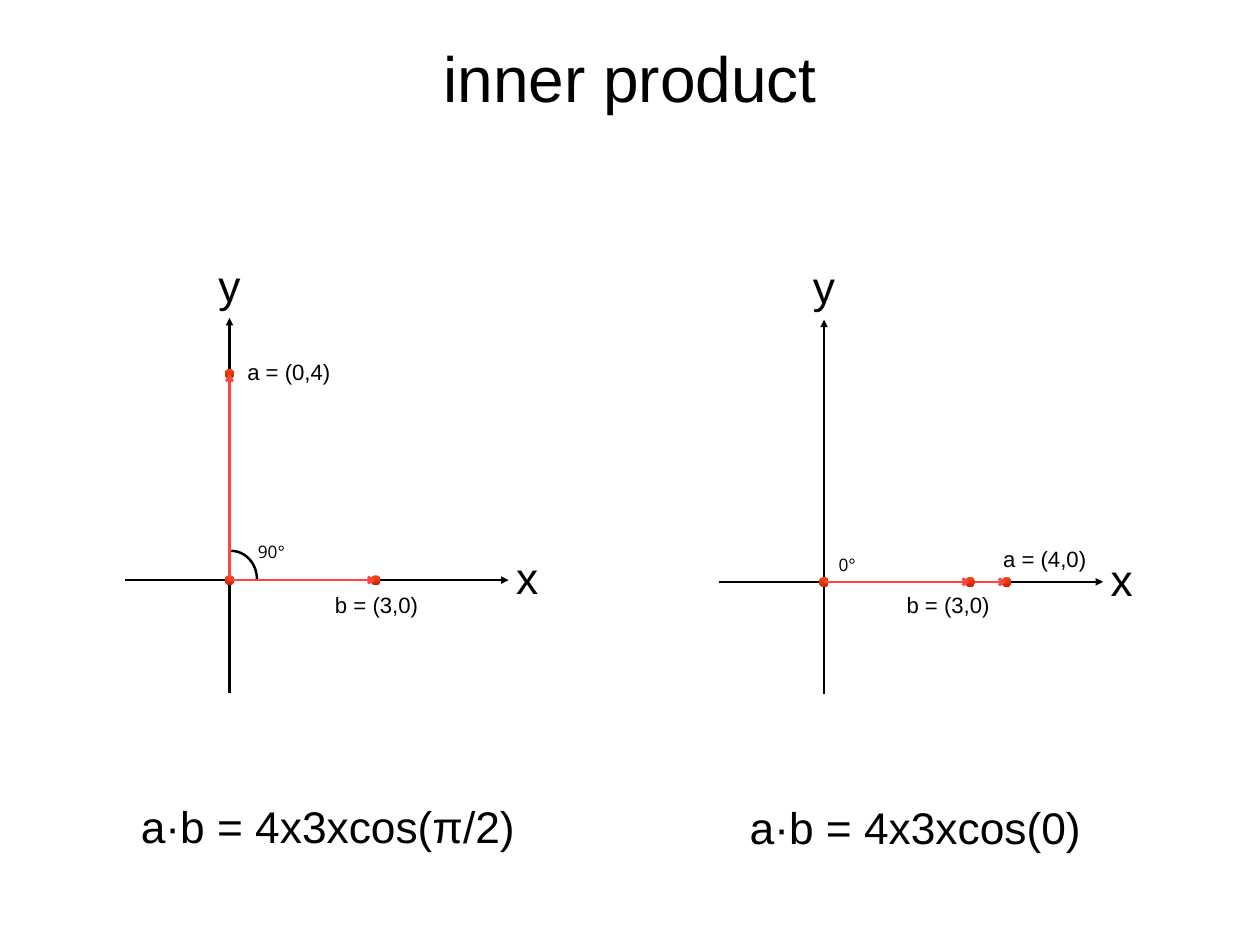
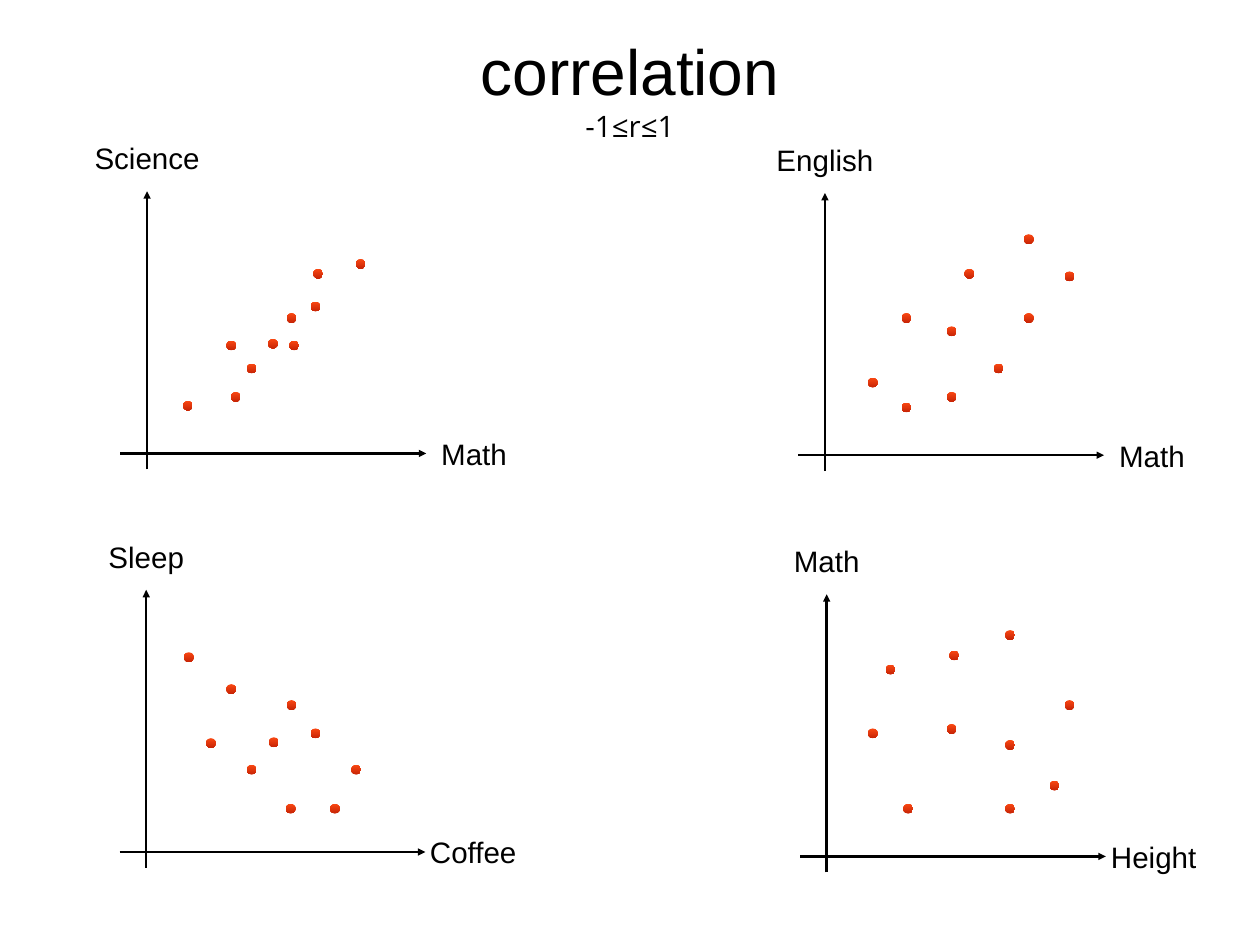
from pptx import Presentation
from pptx import util as u
from pptx.dml.color import RGBColor
from pptx.enum import shapes, text
from pptx.oxml.ns import qn
from lxml import etree

BLACK = RGBColor(0x00, 0x00, 0x00)
CORAL = RGBColor(0xFF, 0x45, 0x3D)
DOT_TOP = RGBColor(0xFA, 0x48, 0x13)
DOT_END = RGBColor(0xC8, 0x25, 0x06)
SANS, OPEN = "Arial", "Open Sans"
CELL = u.Inches(1)  # side of the square grid all lengths are given in
WIDE, HIGH = 14.22, 10.67
MID = WIDE / 2
DOT, PAD, LEAD = 0.11, 0.06, 1.17
AXIS_UP, AXIS_RIGHT, NAME_UP = 2.96, 3.15, 3.34


def cells(*vals):
    return [round(val * CELL) for val in vals]


def write(slide, words, x, y, width, size=24, font=SANS,
          align=text.PP_ALIGN.CENTER, sub=None):
    """Text centred on x, y; sub is a second, smaller line."""
    rows = [(words, size, font)] + ([(sub, 24, OPEN)] if sub else [])
    high = 2 * PAD + sum(LEAD * row[1] / 72 for row in rows)
    box = slide.shapes.add_textbox(*cells(x - width / 2, y - high / 2, width, high))
    frame = box.text_frame
    frame.word_wrap = False
    frame.auto_size = text.MSO_AUTO_SIZE.SHAPE_TO_FIT_TEXT
    frame.vertical_anchor = text.MSO_ANCHOR.MIDDLE
    frame.margin_left = frame.margin_right = u.Inches(PAD)
    frame.margin_top = frame.margin_bottom = u.Inches(PAD)
    for num, (line, pts, face) in enumerate(rows):
        para = frame.add_paragraph() if num else frame.paragraphs[0]
        para.alignment = align
        run = para.add_run()
        run.text = line
        run.font.size, run.font.name = u.Pt(pts), face
        run.font.color.rgb = BLACK


def arrow(slide, start, end, color=BLACK, head="triangle"):
    line = slide.shapes.add_connector(
        shapes.MSO_CONNECTOR.STRAIGHT, *cells(*start, *end))
    line.line.color.rgb = color
    line.line.width = u.Pt(2)
    etree.SubElement(line.line._get_or_add_ln(), qn("a:tailEnd"), type=head)
    etree.SubElement(line._element.spPr, qn("a:effectLst"))


def dot(slide, x, y):
    ball = slide.shapes.add_shape(
        shapes.MSO_SHAPE.OVAL, *cells(x - DOT / 2, y - DOT / 2, DOT, DOT))
    ball.shadow.inherit = False
    ball.line.fill.background()
    ball.fill.gradient()
    ball.fill.gradient_angle = 270
    for stop, color in zip(ball.fill.gradient_stops, (DOT_TOP, DOT_END)):
        stop.color.rgb = color


def arc(slide, x, y, wide, high):
    """Quarter turn around x, y, from the y axis to the x axis."""
    bow = slide.shapes.add_shape(
        shapes.MSO_SHAPE.ARC, *cells(x - wide, y - high, 2 * wide, 2 * high))
    bow.shadow.inherit = False
    bow.fill.background()
    bow.line.color.rgb = BLACK
    bow.line.width = u.Pt(2)


def plane(slide, zero, left, down, names, size, name_at):
    """Draw named axes; return a function from plane to slide points."""
    def at(x, y):
        return zero[0] + x, zero[1] - y

    arrow(slide, at(0, -down), at(0, AXIS_UP))
    arrow(slide, at(-left, 0), at(AXIS_RIGHT, 0))
    for (name, width), spot in zip(names, (name_at, (0, NAME_UP))):
        write(slide, name, *at(*spot), width, size)
    return at


def vectors(slide, zero, ends, labels, angle, sum_text):
    at = plane(slide, zero, 1.18, 1.27, (("x", 0.38), ("y", 0.38)), 36, (3.36, 0.04))
    dot(slide, *at(0, 0))
    for end in ends:
        dot(slide, *at(*end))
        arrow(slide, at(0, 0), at(*end), CORAL, "arrow")
    for words, x, y in labels:
        write(slide, words, *at(x, y), 1.1, 18)
    words, x, y, width = angle
    write(slide, words, *at(x, y), width, 14, OPEN, text.PP_ALIGN.LEFT)
    words, x, width = sum_text
    write(slide, words, *at(x, -2.77), width, 36)
    return at


def scatter(slide, zero, names, points):
    at = plane(slide, zero, 0.3, 0.18, names, 24, (3.69, 0))
    for point in points:
        dot(slide, *at(*point))


def product(slide):
    write(slide, "inner product", MID, 0.87, 4.45, 52)
    at = vectors(slide, (2.59, 6.55), ((0, 2.33), (1.65, 0)),
                 (("a = (0,4)", 0.67, 2.35), ("b = (3,0)", 1.66, -0.28)),
                 ("90°", 0.49, 0.32, 0.46), ("a·b = 4x3xcos(π/2)", 1.11, 4.35))
    arc(slide, *at(0.02, 0.01), 0.29, 0.32)
    vectors(slide, (9.3, 6.57), ((2.06, 0), (1.65, 0)),
            (("a = (4,0)", 2.49, 0.26), ("b = (3,0)", 1.4, -0.26)),
            ("0°", 0.27, 0.2, 0.33), ("a·b = 4x3xcos(0)", 1.03, 3.93))


PLOTS = (
    ((1.66, 5.12), (("Math", 0.87), ("Science", 1.33)),
     ((1.42, 1.24), (0.46, 0.54), (1.9, 1.66), (0.95, 1.22), (1.63, 1.53),
      (1, 0.64), (2.41, 2.14), (1.66, 1.22), (1.93, 2.03), (1.18, 0.96))),
    ((9.31, 5.14), (("Math", 0.87), ("English", 1.22)),
     ((1.63, 2.05), (0.54, 0.82), (2.3, 1.55), (0.92, 1.55), (1.43, 1.4),
      (0.92, 0.54), (2.76, 2.02), (1.96, 0.98), (2.3, 2.44), (1.43, 0.66))),
    ((9.33, 9.67), (("Height", 1.11), ("Math", 0.87)),
     ((1.44, 2.27), (0.52, 1.39), (2.57, 0.8), (0.72, 2.11), (1.41, 1.44),
      (0.92, 0.54), (2.74, 1.71), (2.07, 1.26), (2.07, 2.5), (2.07, 0.54))),
    ((1.65, 9.62), (("Coffee", 1.1), ("Sleep", 0.98)),
     ((1.44, 1.24), (0.48, 2.2), (2.13, 0.49), (0.96, 1.84), (1.91, 1.34),
      (1.19, 0.93), (2.37, 0.93), (1.63, 0.49), (1.64, 1.66), (0.73, 1.23))),
)


def relation(slide):
    write(slide, "correlation", MID, 0.99, 3.52, 52, sub="-1≤r≤1")
    for plot in PLOTS:
        scatter(slide, *plot)


def main():
    deck = Presentation()
    deck.slide_width, deck.slide_height = cells(WIDE, HIGH)
    for build in (product, relation):
        build(deck.slides.add_slide(deck.slide_layouts[6]))
    deck.save("out.pptx")


if __name__ == "__main__":
    main()
